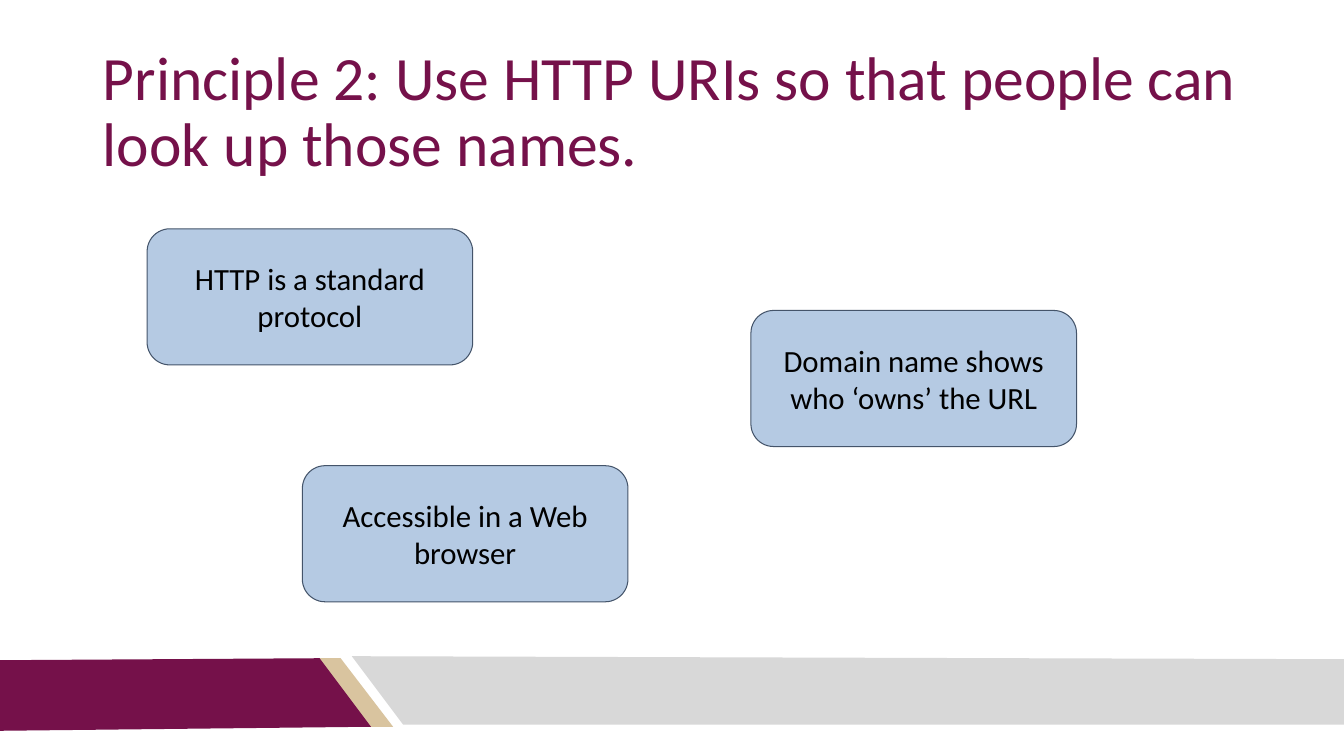
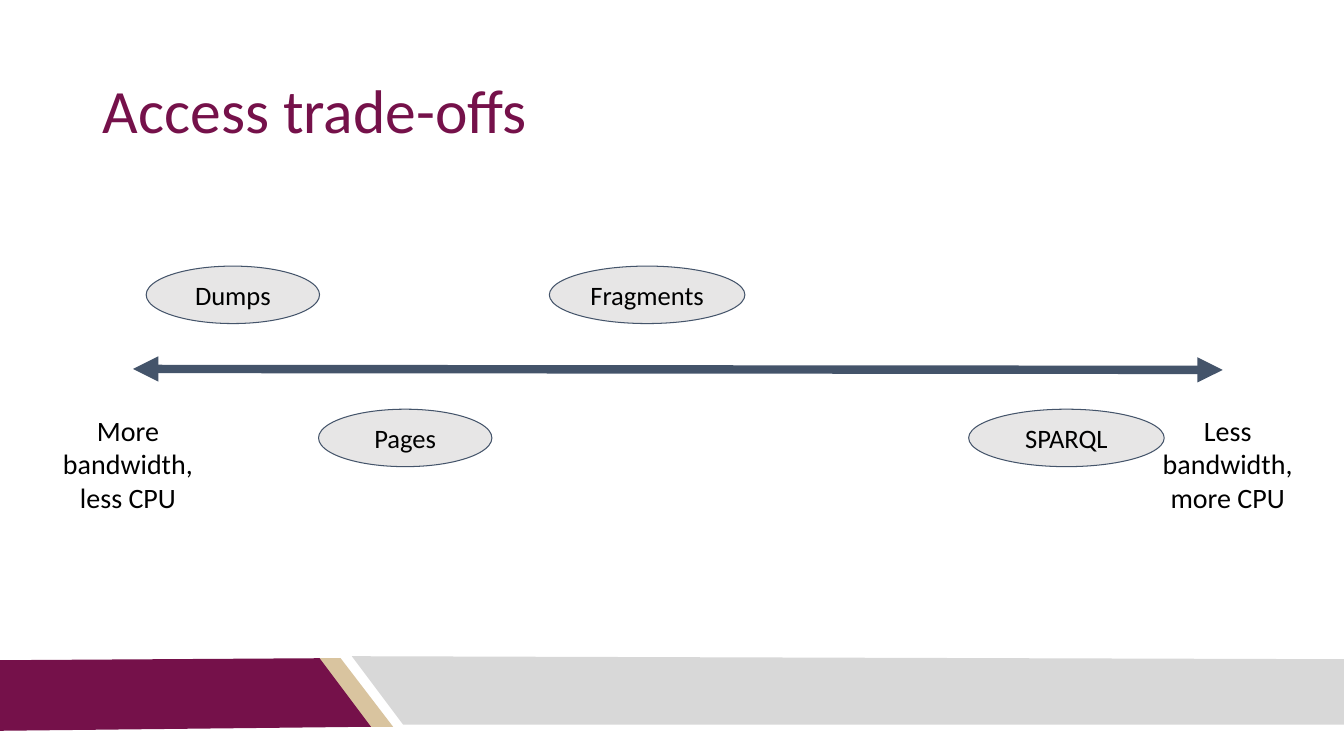
import pptx
import pptx.dml.color
import pptx.enum.shapes
import pptx.enum.text
import pptx.oxml
import pptx.oxml.ns
import pptx.util


class Theme:
    font = "Calibri"
    maroon = pptx.dml.color.RGBColor.from_string("75114A")
    sand = pptx.dml.color.RGBColor.from_string("D9C49F")
    band_grey = pptx.dml.color.RGBColor.from_string("D8D8D8")
    oval_grey = pptx.dml.color.RGBColor.from_string("E7E6E6")
    blue = pptx.dml.color.RGBColor.from_string("4F81BD")
    slate = pptx.dml.color.RGBColor.from_string("44546A")
    black = pptx.dml.color.RGBColor.from_string("000000")
    title_size = pptx.util.Pt(44)
    box_size = pptx.util.Pt(22)
    end_size = pptx.util.Pt(20)
    oval_size = pptx.util.Pt(19)
    outline = pptx.util.Pt(0.75)
    axis_width = pptx.util.Pt(6)


PX = pptx.util.Inches(1) // 100
SHAPES = pptx.enum.shapes.MSO_SHAPE
ALIGN = pptx.enum.text.PP_ALIGN
ANCHOR = pptx.enum.text.MSO_ANCHOR
FIT = pptx.enum.text.MSO_AUTO_SIZE


def write_text(shape, text, size, color, align, anchor, fit=FIT.NONE):
    frame = shape.text_frame
    frame.text = text
    frame.word_wrap = True
    frame.auto_size = fit
    frame.vertical_anchor = anchor
    frame.margin_left = frame.margin_right = 10 * PX
    frame.margin_top = frame.margin_bottom = 10 * PX
    for paragraph in frame.paragraphs:
        paragraph.alignment = align
        paragraph.font.name = Theme.font
        paragraph.font.size = size
        paragraph.font.color.rgb = color


def add_label(slide, kind, text, box, fill, size):
    shape = slide.shapes.add_shape(kind, *(value * PX for value in box))
    shape.shadow.inherit = False
    shape.fill.solid()
    shape.fill.fore_color.rgb = fill
    shape.line.color.rgb = Theme.slate
    shape.line.width = Theme.outline
    write_text(shape, text, size, Theme.black, ALIGN.CENTER, ANCHOR.MIDDLE)
    return shape


presentation = pptx.Presentation()
presentation.slide_width = pptx.util.Inches(13.333)
presentation.slide_height = pptx.util.Inches(7.5)
layout = presentation.slide_layouts[5]

slides = []
for title_text in (
    "Principle 2: Use HTTP URIs so that people can look up those names.",
    "Access trade-offs",
):
    slide = presentation.slides.add_slide(layout)
    title = slide.shapes.title
    title.left, title.top, title.width, title.height = (
        value * PX for value in (92, 40, 1150, 145)
    )
    write_text(title, title_text, Theme.title_size, Theme.maroon, ALIGN.LEFT, ANCHOR.MIDDLE)
    title.text_frame.paragraphs[0].line_spacing = 0.9
    slides.append(slide)

principle_slide, access_slide = slides

bands = (
    (Theme.sand, ((316, 653), (338, 653), (390, 721), (367, 721))),
    (Theme.maroon, ((-1, 655), (317, 653), (368, 721), (-1, 725))),
    (Theme.band_grey, ((349, 651), (1334, 654), (1337, 719), (400, 719))),
)
for shape_id, (color, corners) in enumerate(bands, start=20):
    builder = principle_slide.shapes.build_freeform(*corners[0], scale=PX)
    builder.add_line_segments(corners[1:], close=True)
    band = builder.convert_to_shape()
    band.shadow.inherit = False
    band.fill.solid()
    band.fill.fore_color.rgb = color
    band.line.fill.background()
    band.element.nvSpPr.cNvPr.id = shape_id
    layout.shapes.element.append(band.element)

for text, left, top in (
    ("HTTP is a standard protocol", 146, 227),
    ("Domain name shows who ‘owns’ the URL", 745, 308),
    ("Accessible in a Web browser", 300, 462),
):
    box = add_label(principle_slide, SHAPES.ROUNDED_RECTANGLE, text,
                    (left, top, 323, 135), Theme.blue, Theme.box_size)
    fill_color = box.element.spPr.find(".//" + pptx.oxml.ns.qn("a:srgbClr"))
    alpha = pptx.oxml.parse_xml(f'<a:alpha {pptx.oxml.ns.nsdecls("a")} val="42000"/>')
    fill_color.append(alpha)

axis = access_slide.shapes.add_connector(
    pptx.enum.shapes.MSO_CONNECTOR.STRAIGHT, 132 * PX, 366 * PX, 1213 * PX, 367 * PX
)
axis.line.color.rgb = Theme.slate
axis.line.width = Theme.axis_width
axis_line = axis.line._get_or_add_ln()
for tag in ("headEnd", "tailEnd"):
    axis_line.append(pptx.oxml.parse_xml(
        f'<a:{tag} {pptx.oxml.ns.nsdecls("a")} type="triangle"/>'
    ))
axis.element.spPr.append(
    pptx.oxml.parse_xml(f'<a:effectLst {pptx.oxml.ns.nsdecls("a")}/>')
)

for text, left in (
    ("More bandwidth,\nless CPU", 34),
    ("Less bandwidth,\nmore CPU", 1125),
):
    end_label = access_slide.shapes.add_textbox(left * PX, 400 * PX, 186 * PX, 121 * PX)
    write_text(end_label, text, Theme.end_size, Theme.black,
               ALIGN.CENTER, ANCHOR.TOP, FIT.SHAPE_TO_FIT_TEXT)

above_axis, below_axis = 264, 406
for text, left, top, width in (
    ("Dumps", 145, above_axis, 172),
    ("Pages", 316, below_axis, 172),
    ("Fragments", 545, above_axis, 194),
    ("SPARQL", 961, below_axis, 194),
):
    add_label(access_slide, SHAPES.OVAL, text, (left, top, width, 57),
              Theme.oval_grey, Theme.oval_size)

presentation.save("out.pptx")
